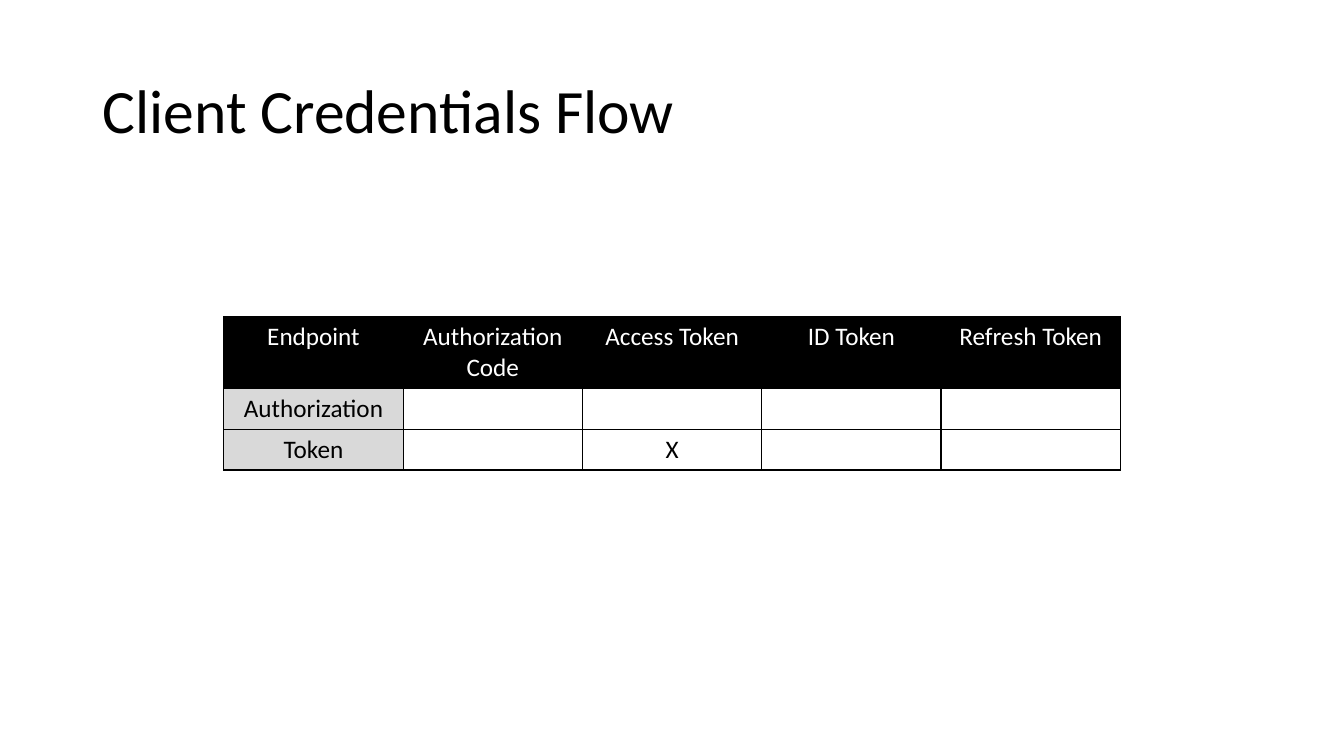
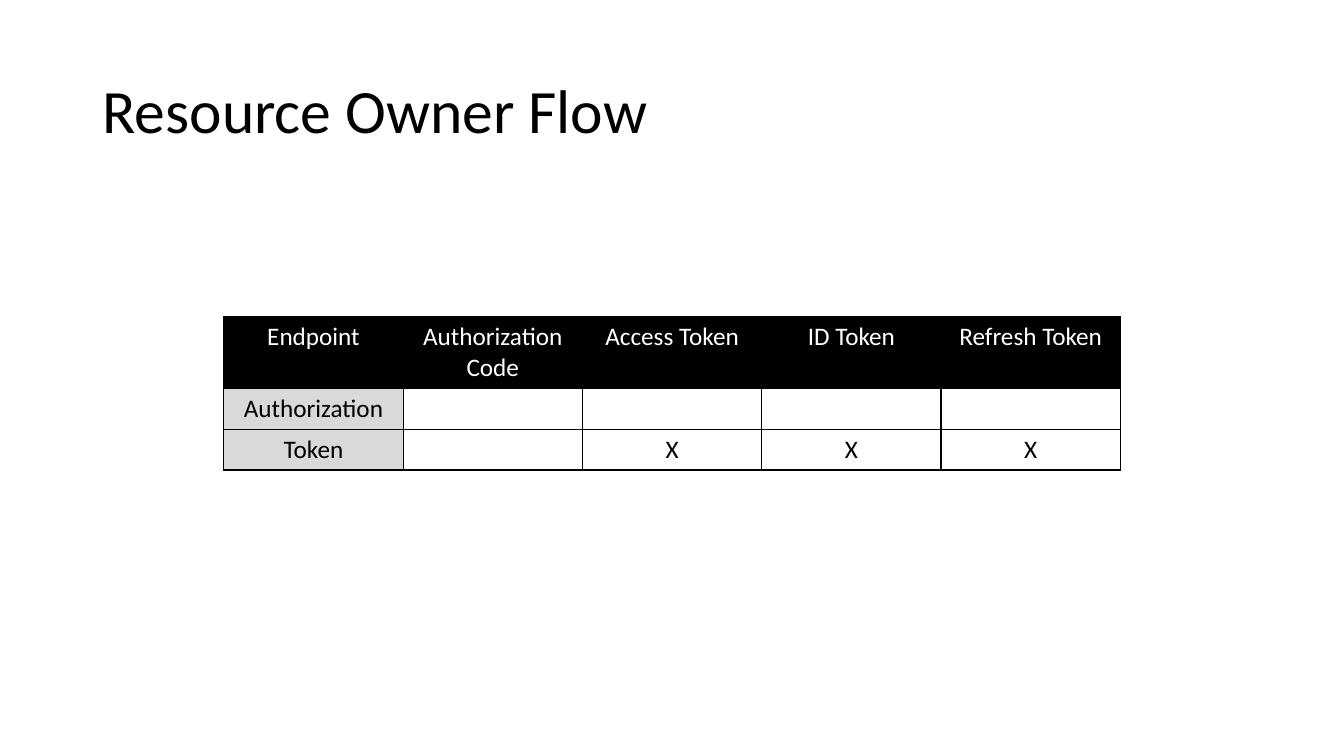
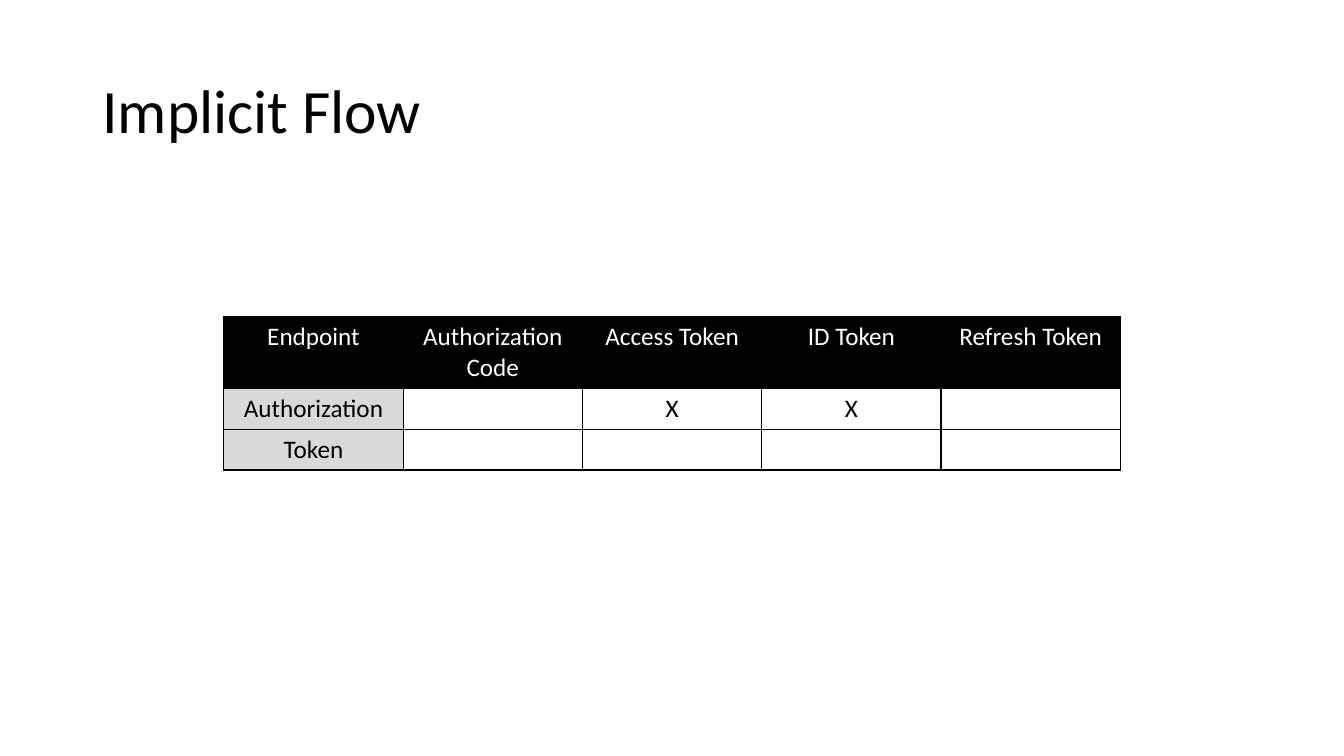
"""Build three slides showing which tokens each OAuth flow returns per endpoint."""
from lxml.etree import SubElement
from pptx import Presentation
from pptx.dml.color import RGBColor
from pptx.enum.text import MSO_ANCHOR, MSO_AUTO_SIZE, PP_ALIGN
from pptx.oxml.ns import qn
from pptx.util import Cm, Pt

CREDENTIALS = ["Authorization Code", "Access Token", "ID Token", "Refresh Token"]
ENDPOINTS = ["Authorization", "Token"]
FLOWS = {
    "Client Credentials Flow": {"Token": ["Access Token"]},
    "Resource Owner Flow": {"Token": ["Access Token", "ID Token", "Refresh Token"]},
    "Implicit Flow": {"Authorization": ["Access Token", "ID Token"]},
}


def color(hex_code):
    return RGBColor.from_string(hex_code)


def apply(target, formats):
    for attribute, value in formats.items():
        setattr(target, attribute, value)


class FlowDeck:
    BLACK, WHITE, GRAY = "000000", "FFFFFF", "D9D9D9"
    TITLE_BOX = {"left": Cm(2.33), "top": Cm(1.01), "width": Cm(29.21), "height": Cm(3.68)}
    TITLE_FRAME = {"vertical_anchor": MSO_ANCHOR.MIDDLE, "auto_size": MSO_AUTO_SIZE.NONE,
                   "word_wrap": True}
    TITLE_TEXT = {"alignment": PP_ALIGN.LEFT, "line_spacing": 0.9}
    TITLE_FONT = {"name": "Calibri", "size": Pt(44)}
    CELL_FONT = {"name": "Calibri", "size": Pt(18), "bold": False}
    TABLE_LEFT, TABLE_TOP, COLUMN_WIDTH = Cm(5.64), Cm(7.98), Cm(4.52)
    HEADER_HEIGHT, ROW_HEIGHT = Cm(1.79), Cm(1.03)

    def __init__(self):
        self.deck = Presentation()
        apply(self.deck, {"slide_width": Cm(33.87), "slide_height": Cm(19.05)})
        self.slide = None

    def add_slide(self, heading):
        self.slide = self.deck.slides.add_slide(self.deck.slide_layouts[5])
        title = self.slide.shapes.title
        title.text = heading
        apply(title, self.TITLE_BOX)
        apply(title.text_frame, self.TITLE_FRAME)
        paragraph = title.text_frame.paragraphs[0]
        apply(paragraph, self.TITLE_TEXT)
        self.style_font(paragraph.runs[0].font, self.TITLE_FONT, self.BLACK)

    def add_token_table(self, rows):
        heights = [self.HEADER_HEIGHT] + [self.ROW_HEIGHT] * (len(rows) - 1)
        table = self.slide.shapes.add_table(
            len(rows), len(rows[0]), self.TABLE_LEFT, self.TABLE_TOP,
            self.COLUMN_WIDTH * len(rows[0]), sum(heights)).table
        for column in table.columns:
            column.width = self.COLUMN_WIDTH
        for row_index, (row, height) in enumerate(zip(rows, heights)):
            table.rows[row_index].height = height
            for column_index, text in enumerate(row):
                if row_index == 0:
                    fill, ink = self.BLACK, self.WHITE
                else:
                    fill, ink = self.WHITE if column_index else self.GRAY, self.BLACK
                self.fill_cell(table.cell(row_index, column_index), text, fill, ink)

    def fill_cell(self, cell, text, fill, ink):
        cell.text = text
        paragraph = cell.text_frame.paragraphs[0]
        paragraph.alignment = PP_ALIGN.CENTER
        for run in paragraph.runs:
            self.style_font(run.font, self.CELL_FONT, ink)
        self.add_borders(cell)
        cell.fill.solid()
        cell.fill.fore_color.rgb = color(fill)

    def add_borders(self, cell):
        properties = cell._tc.get_or_add_tcPr()
        for side in ("a:lnL", "a:lnR", "a:lnT", "a:lnB"):
            border = SubElement(properties, qn(side), w=str(Pt(1)))
            SubElement(SubElement(border, qn("a:solidFill")), qn("a:srgbClr"), val=self.BLACK)

    def style_font(self, font, formats, ink):
        apply(font, formats)
        font.color.rgb = color(ink)


def main():
    flow_deck = FlowDeck()
    for heading, issued in FLOWS.items():
        flow_deck.add_slide(heading)
        marks = [[endpoint] + ["X" if credential in issued.get(endpoint, []) else ""
                               for credential in CREDENTIALS] for endpoint in ENDPOINTS]
        flow_deck.add_token_table([["Endpoint"] + CREDENTIALS] + marks)
    flow_deck.deck.save("out.pptx")


if __name__ == "__main__":
    main()
